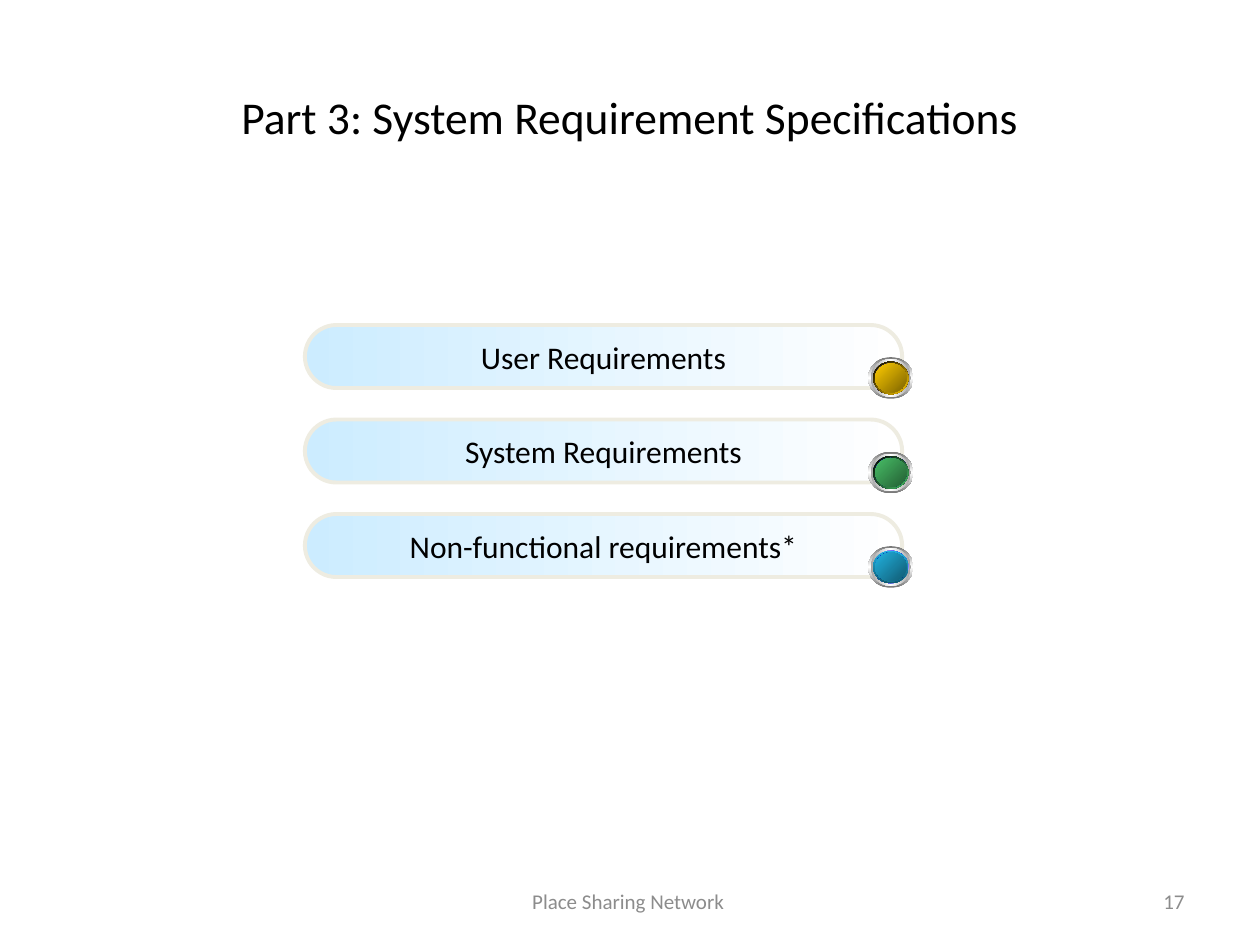
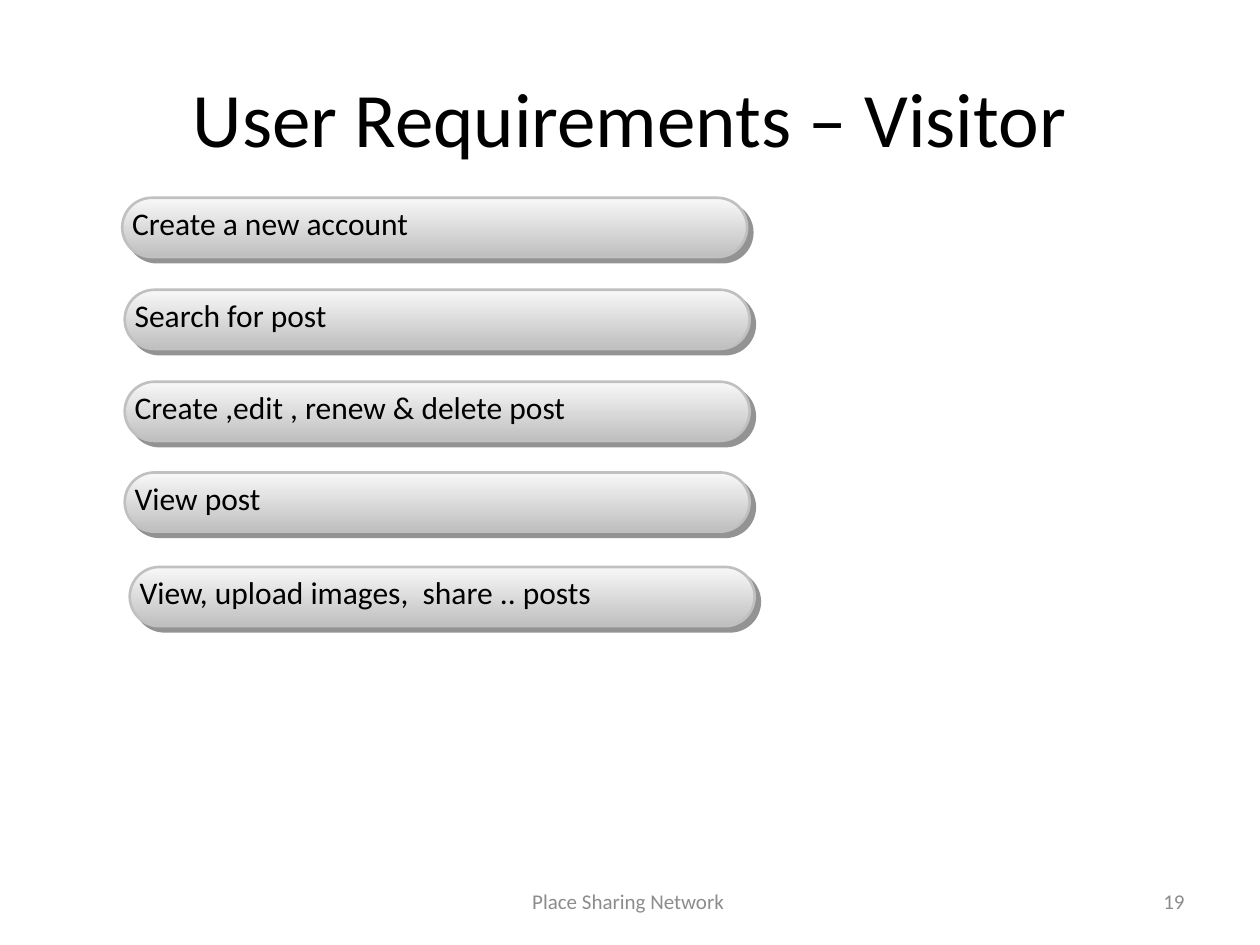
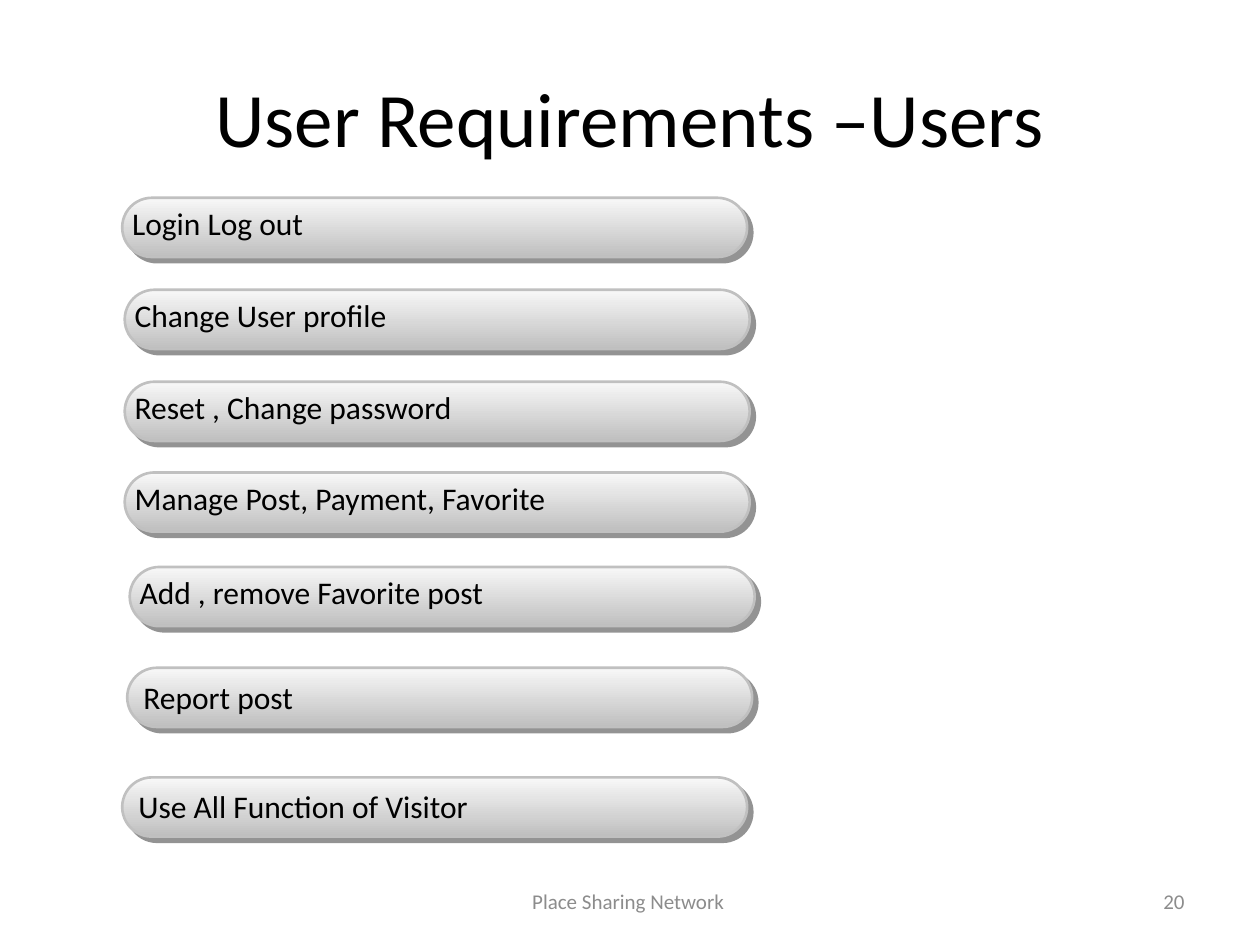
from pptx import Presentation
from pptx.dml.color import RGBColor
from pptx.enum.shapes import MSO_SHAPE as SHAPE
from pptx.enum.text import MSO_ANCHOR as ANCHOR, MSO_AUTO_SIZE as AUTO, PP_ALIGN as ALIGN
from pptx.oxml import parse_xml
from pptx.oxml.ns import nsdecls
from pptx.util import Inches, Pt

FONT = "Calibri"
BLACK = RGBColor(0x00, 0x00, 0x00)
WHITE = RGBColor(0xFF, 0xFF, 0xFF)
FOOTER_GREY = RGBColor(0x8C, 0x8C, 0x8C)
SKY = RGBColor(0xCC, 0xEC, 0xFF)
CREAM = RGBColor(0xEE, 0xEC, 0xE1)
PILL_LIGHT = RGBColor(0xF8, 0xF8, 0xF8)
PILL_DARK = RGBColor(0xBF, 0xBF, 0xBF)
PILL_EDGE = RGBColor(0xC0, 0xC0, 0xC0)
SHADOW = RGBColor(0x29, 0x29, 0x29)
RIM_DARK = RGBColor(0x77, 0x77, 0x77)
RIM_LIGHT = RGBColor(0xA3, 0xA3, 0xA3)
BLUE = RGBColor(0x00, 0x00, 0xFF)
NAVY = RGBColor(0x00, 0x00, 0x8B)
GOLD = RGBColor(0xFF, 0xCC, 0x00)
GOLD_DARK = RGBColor(0x7D, 0x64, 0x00)
GREEN = RGBColor(0x48, 0xBE, 0x67)
GREEN_DARK = RGBColor(0x24, 0x5F, 0x34)
CYAN = RGBColor(0x21, 0xB3, 0xE1)
CYAN_DARK = RGBColor(0x11, 0x5A, 0x71)


def write(sp, text, size, color=BLACK, align=ALIGN.LEFT, anchor=ANCHOR.TOP, wrap=True):
    tf = sp.text_frame
    tf.word_wrap = wrap
    tf.vertical_anchor = anchor
    p = tf.paragraphs[0]
    p.alignment = align
    r = p.add_run()
    r.text = text
    r.font.name, r.font.size = FONT, Pt(size)
    r.font.color.rgb = color


def add_gradient_shape(shapes, kind, box, colors, angle, edge=None, weight=0):
    """Add a shape whose colors are spread evenly along a clockwise angle."""
    sp = shapes.add_shape(kind, *map(Inches, box))
    sp.shadow.inherit = False
    if kind == SHAPE.ROUNDED_RECTANGLE:
        sp.adjustments[0] = 0.5
    if edge is None:
        sp.line.fill.background()
    else:
        sp.line.color.rgb = edge
        sp.line.width = Pt(weight)
    step = 100000 // (len(colors) - 1)
    stops = "".join(f'<a:gs pos="{i * step}"><a:srgbClr val="{c}"/></a:gs>'
                    for i, c in enumerate(colors))
    sp._element.spPr.prstGeom.addnext(parse_xml(
        f'<a:gradFill {nsdecls("a")} rotWithShape="1"><a:gsLst>{stops}</a:gsLst>'
        f'<a:lin ang="{angle * 60000}" scaled="1"/></a:gradFill>'))
    return sp


prs = Presentation()
prs.slide_width, prs.slide_height = Inches(10), Inches(7.5)

# Titles, footers and page numbers
slides = []
for title, size, page in [("Part 3: System Requirement Specifications", 26, "17"),
                          ("User Requirements – Visitor", 44, "19"),
                          ("User Requirements –Users", 44, "20")]:
    slide = prs.slides.add_slide(prs.slide_layouts[5])
    t = slide.shapes.title
    t.left, t.top, t.width, t.height = map(Inches, (0.5, 0.3, 9, 1.25))
    write(t, title, size, align=ALIGN.CENTER, anchor=ANCHOR.MIDDLE)
    for left, width, text, align in [(3.42, 3.17, "Place Sharing Network ", ALIGN.CENTER),
                                     (7.17, 2.33, page, ALIGN.RIGHT)]:
        tb = slide.shapes.add_textbox(*map(Inches, (left, 6.95, width, 0.4)))
        write(tb, text, 12, FOOTER_GREY, align, ANCHOR.MIDDLE)
    slides.append(slide)
overview, visitor, users = slides

# Overview: three bars, each with a round button on its lower right corner
BAR_TOP, BAR_PITCH = 2.58, 0.75
sections = [("User Requirements", (BLACK, GOLD), 45, (GOLD, GOLD_DARK)),
            ("System Requirements", (BLACK, GREEN), 45, (GREEN, GREEN_DARK)),
            ("Non-functional requirements*", (CYAN, CYAN_DARK), 90, (CYAN, CYAN_DARK))]
for row, (text, bevel, bevel_angle, face) in enumerate(sections):
    top = BAR_TOP + row * BAR_PITCH
    bar = add_gradient_shape(overview.shapes, SHAPE.ROUNDED_RECTANGLE, (2.42, top, 4.74, 0.5),
                             (SKY, WHITE), 0, CREAM, 2.25)
    write(bar, text, 18, align=ALIGN.CENTER, anchor=ANCHOR.MIDDLE, wrap=False)
    button = overview.shapes.add_group_shape()
    cx, cy = 7.07, top + 0.42
    for w, h, colors, angle in [(0.36, 0.33, (RIM_DARK, WHITE, RIM_DARK), 90),
                                (0.32, 0.3, (RIM_LIGHT, WHITE, RIM_LIGHT), 0),
                                (0.28, 0.26, (WHITE, BLUE, WHITE), 45),
                                (0.28, 0.26, bevel, bevel_angle),
                                (0.25, 0.23, (NAVY, BLUE, NAVY), 315),
                                (0.25, 0.23, face, 45)]:
        add_gradient_shape(button.shapes, SHAPE.OVAL, (cx - w / 2, cy - h / 2, w, h),
                           colors, angle)

# Requirement lists: pill left and top, then label offset from the pill
PILL_ROWS = [(0.97, 1.57, -0.02, 0), (0.99, 2.3, -0.02, 0), (0.99, 3.03, -0.02, 0),
             (0.99, 3.75, -0.02, 0), (1.03, 4.5, -0.02, 0),
             (1.01, 5.3, 0.03, 0.03), (0.97, 6.17, 0.03, 0.03)]
visitor_labels = [("Create a new account", 2.48), ("Search for post", 1.74),
                  ("Create ,edit , renew & delete post", 3.67), ("View post", 1.21),
                  ("View, upload images,  share .. posts", 3.83)]
user_labels = [("Login Log out", 1.58), ("Change User profile", 2.23),
               ("Reset , Change password", 2.75), ("Manage Post, Payment, Favorite", 3.49),
               ("Add , remove Favorite post", 2.96), ("Report post", 1.4),
               ("Use All Function of Visitor", 2.85)]
for slide, labels in [(visitor, visitor_labels), (users, user_labels)]:
    for (left, top, dx, dy), (text, width) in zip(PILL_ROWS, labels):
        pill = add_gradient_shape(slide.shapes, SHAPE.ROUNDED_RECTANGLE, (left, top, 4.96, 0.47),
                                  (PILL_LIGHT, PILL_DARK), 90, PILL_EDGE, 1.5)
        pill._element.spPr.find("{*}effectLst").append(parse_xml(
            f'<a:outerShdw {nsdecls("a")} dist="{Pt(4.2)}" dir="2700000" algn="ctr" '
            f'rotWithShape="0"><a:srgbClr val="{SHADOW}"><a:alpha val="50000"/>'
            '</a:srgbClr></a:outerShdw>'))
        tb = slide.shapes.add_textbox(*map(Inches, (left + dx, top + dy, width, 0.4)))
        write(tb, text, 18, wrap=False)
        tb.text_frame.auto_size = AUTO.SHAPE_TO_FIT_TEXT

prs.save("out.pptx")
